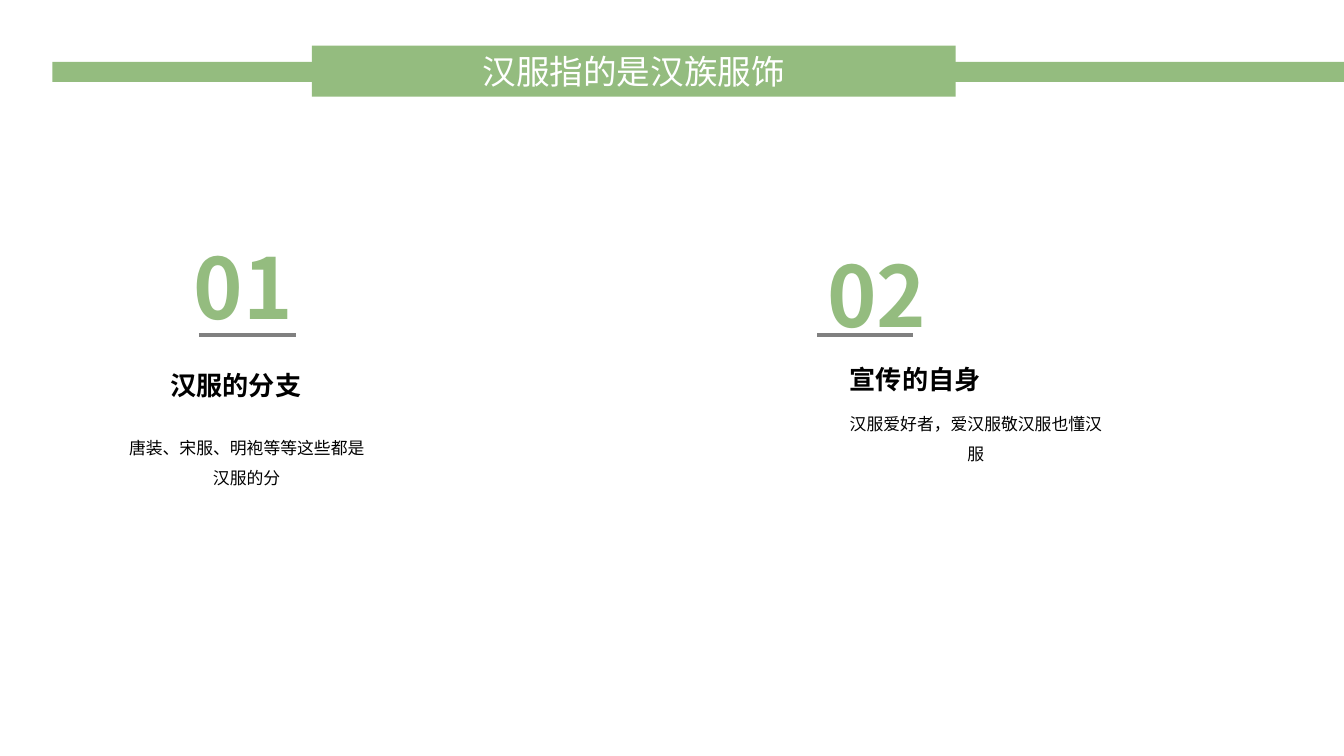
from lxml import etree
from pptx import Presentation
from pptx import util as u
from pptx.dml.color import RGBColor
from pptx.enum import shapes, text
from pptx.oxml.ns import qn

GREEN = RGBColor(0x94, 0xBC, 0x7F)
GRAY = RGBColor(0x80, 0x80, 0x80)
BLACK = RGBColor(0, 0, 0)
WHITE = RGBColor(0xFF, 0xFF, 0xFF)
FONT = "Noto Sans CJK SC"
PAGE_WIDTH = 10
PAGE_HEIGHT = PAGE_WIDTH * 9 / 16
RULE_TOP = 2.49

TITLE = "汉服指的是汉族服饰"
TITLE_AREA = (2.32, 0.34, 4.79, 0.38)
BAR_AREA = (0.39, 0.46, 9.61, 0.15)

SECTIONS = [
    {
        "number": ("01", (1.29, 1.71, 1.04, 0.83)),
        "heading": ("汉服的分支", (0.66, 2.71, 2.19, 0.31)),
        "detail": ("唐装、宋服、明袍等等这些都是汉服的分", (0.87, 3.14, 1.93, 0.53)),
        "rule": (1.48, 2.2),
    },
    {
        "number": ("02", (5.93, 1.77, 1.19, 0.83)),
        "heading": ("宣传的自身", (6.08, 2.66, 1.46, 0.31)),
        "detail": ("汉服爱好者，爱汉服敬汉服也懂汉服", (6.24, 2.96, 2.04, 0.53)),
        "rule": (6.08, 6.79),
    },
]
STYLES = {
    "number": {"size": 45, "color": GREEN, "bold": True},
    "heading": {"size": 14, "color": BLACK, "bold": True},
    "detail": {"size": 9, "color": BLACK, "spacing": 1.5},
}


def inches(area):
    return [u.Inches(value) for value in area]


def write(box, words, size, color, bold=False, spacing=None, side=0.07,
          anchor=text.MSO_ANCHOR.TOP, fit=text.MSO_AUTO_SIZE.SHAPE_TO_FIT_TEXT):
    frame = box.text_frame
    frame.word_wrap = True
    frame.auto_size = fit
    frame.vertical_anchor = anchor
    frame.margin_left = frame.margin_right = u.Inches(side)
    frame.margin_top = frame.margin_bottom = u.Inches(0.04)
    para = frame.paragraphs[0]
    para.alignment = text.PP_ALIGN.CENTER
    if spacing:
        para.line_spacing = spacing
    span = para.add_run()
    span.text = words
    span.font.size = u.Pt(size)
    span.font.bold = bold
    span.font.color.rgb = color
    span.font.name = FONT
    latin = span.font._element.find(qn("a:latin"))
    latin.addnext(etree.Element(qn("a:ea"), typeface=FONT))


def add_rule(page, left, right):
    rule = page.shapes.add_connector(
        shapes.MSO_CONNECTOR.STRAIGHT, *inches((left, RULE_TOP, right, RULE_TOP)))
    rule.line.color.rgb = GRAY
    rule.line.width = u.Pt(2.25)
    etree.SubElement(rule.element.spPr, qn("a:effectLst"))


deck = Presentation()
deck.slide_width = u.Inches(PAGE_WIDTH)
deck.slide_height = u.Inches(PAGE_HEIGHT)
page = deck.slides.add_slide(deck.slide_layouts[5])

title = page.shapes.title
title.left, title.top, title.width, title.height = inches(TITLE_AREA)
title.fill.solid()
title.fill.fore_color.rgb = GREEN
write(title, TITLE, 18, WHITE, side=0.08, anchor=text.MSO_ANCHOR.MIDDLE,
      fit=text.MSO_AUTO_SIZE.NONE)

bar = page.shapes.add_shape(shapes.MSO_SHAPE.RECTANGLE, *inches(BAR_AREA))
bar.shadow.inherit = False
bar.fill.solid()
bar.fill.fore_color.rgb = GREEN
bar.line.fill.background()
title.element.addprevious(bar.element)

for section in SECTIONS:
    for role, style in STYLES.items():
        words, area = section[role]
        write(page.shapes.add_textbox(*inches(area)), words, **style)
    add_rule(page, *section["rule"])

deck.save("out.pptx")
